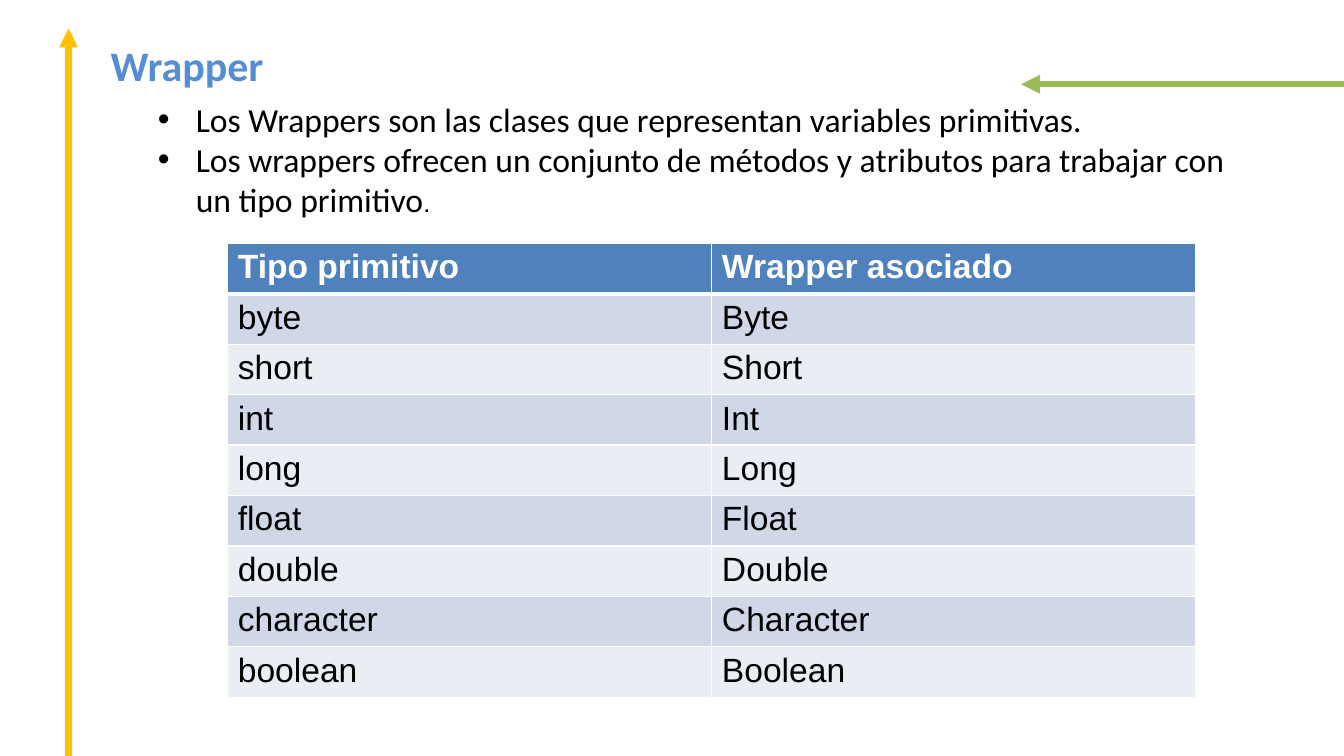
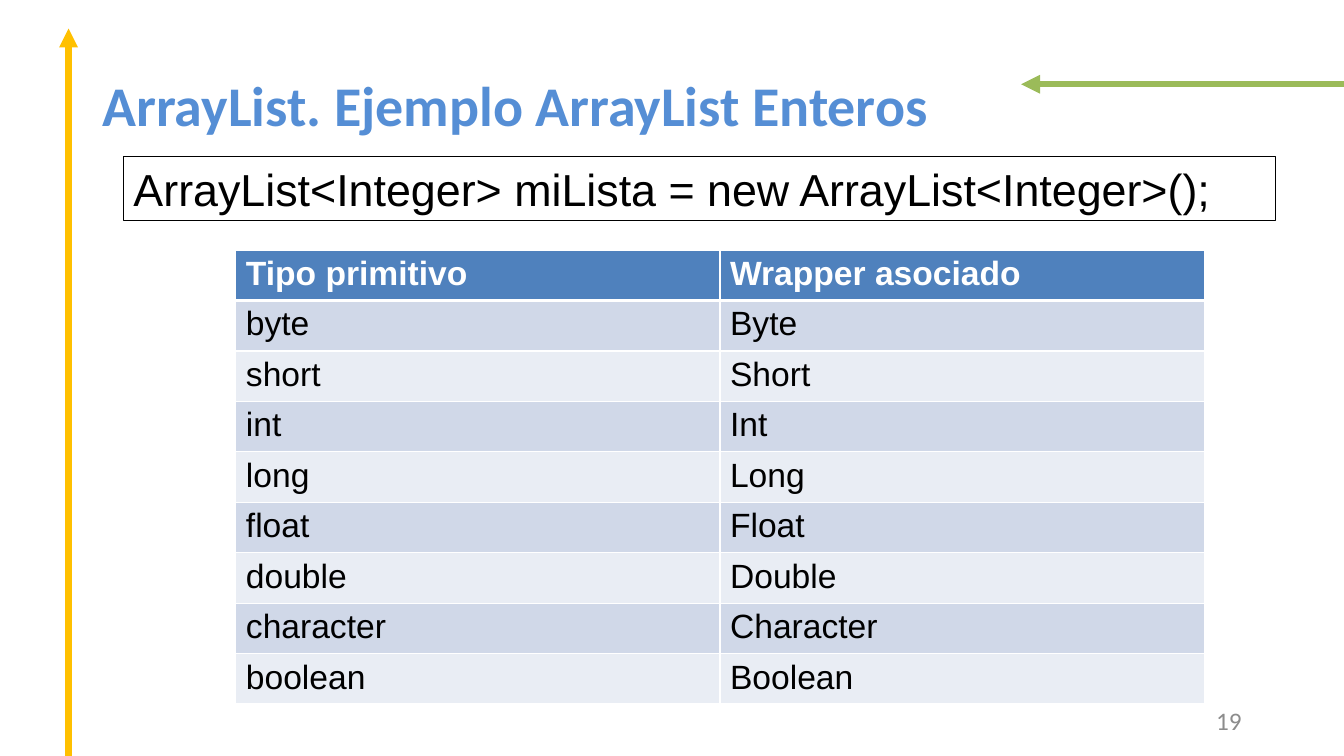
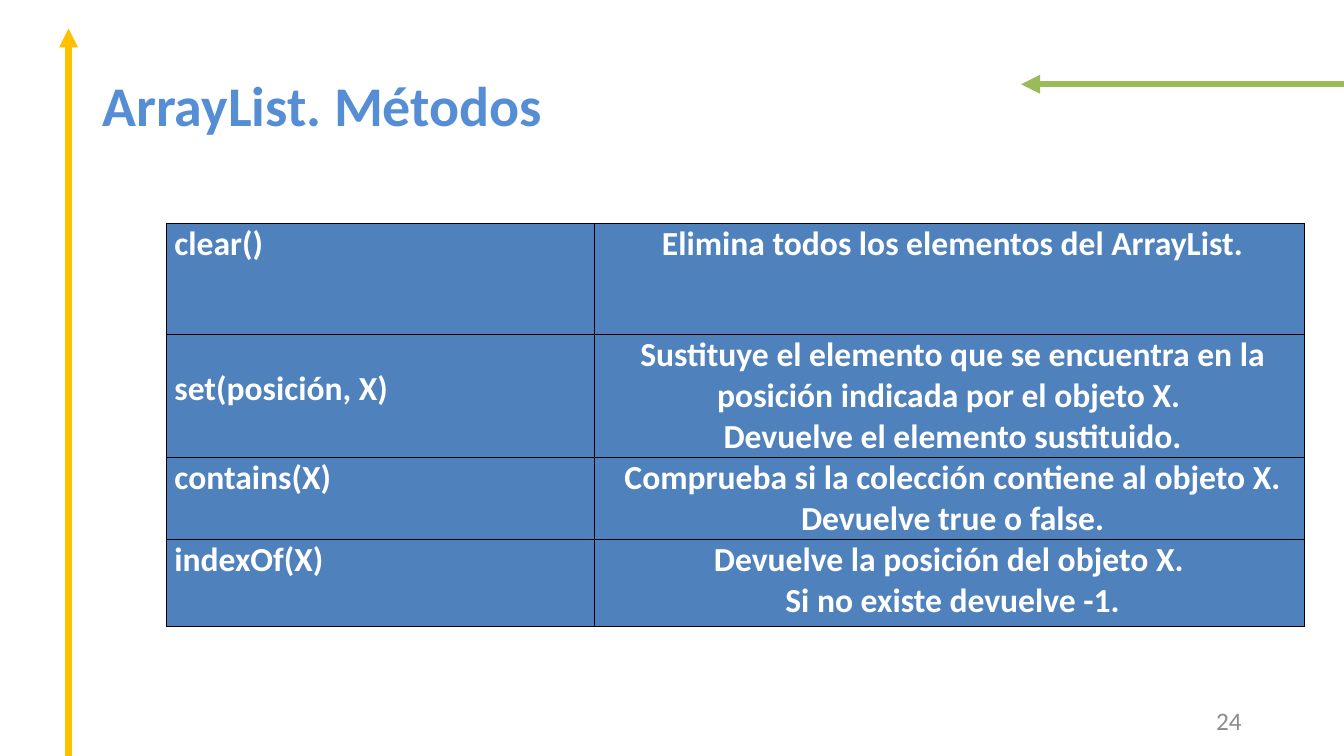
"""Build three slides on wrappers and ArrayList methods."""
import pptx
import pptx.dml.color
import pptx.enum.shapes
import pptx.enum.text
import pptx.oxml.ns
import pptx.util
from lxml import etree

Pt = pptx.util.Pt
ALIGN = pptx.enum.text.PP_ALIGN
ANCHOR = pptx.enum.text.MSO_ANCHOR
WIDE, HIGH = 960, 540
BLUE, TITLE, GREEN, GOLD = "4F81BD", "558ED5", "9BBB59", "FFC000"
BANDS = ("D0D8E8", "E9EDF4")
WHITE, BLACK, GRAY = "FFFFFF", "000000", "8C8C8C"
BODY, PLAIN = "Calibri", "Arial"

TYPES = ["byte", "short", "int", "long", "float", "double", "character", "boolean"]
PAIRS = [("Tipo primitivo", "Wrapper asociado")] + [(t, t.title()) for t in TYPES]
INTRO = (
    "Los Wrappers son las clases que representan variables primitivas.\n"
    "Los wrappers ofrecen un conjunto de métodos y atributos para trabajar con un tipo primitivo"
)
CALLS = [
    ("clear()", "Elimina todos los elementos del ArrayList.", 79.2, 0),
    ("set(posición, X)",
     "Sustituye el elemento que se encuentra en la posición indicada por el objeto X. \n"
     "Devuelve el elemento sustituido.", 88, 24.4),
    ("contains(X)",
     "Comprueba si la colección contiene al objeto X.\nDevuelve true o false.", 58.6, 0),
    ("indexOf(X)",
     "Devuelve la posición del objeto X. \nSi no existe devuelve -1.", 62, 0),
]


def color(code):
    return pptx.dml.color.RGBColor.from_string(code)


def node(parent, tag, **attrs):
    item = etree.SubElement(parent, pptx.oxml.ns.qn(tag))
    for name, value in attrs.items():
        item.set(name, str(value))
    return item


def write(para, text, face=BODY, size=24, ink=BLACK, bold=False):
    run = para.add_run()
    run.text = text
    run.font.name = face
    run.font.size = Pt(size)
    run.font.bold = bold
    run.font.color.rgb = color(ink)


def fill(frame, text, align=ALIGN.LEFT, bullet=False, **style):
    for i, line in enumerate(text.split("\n")):
        para = frame.add_paragraph() if i else frame.paragraphs[0]
        para.alignment = align
        if bullet:
            props = para._p.get_or_add_pPr()
            props.set("marL", str(Pt(27)))
            props.set("indent", str(Pt(-27)))
            node(props, "a:buFont", typeface=PLAIN)
            node(props, "a:buChar", char="•")
        write(para, line, **style)


def label(slide, text, left, top, width, height, anchor=ANCHOR.TOP, **style):
    box = slide.shapes.add_textbox(Pt(left), Pt(top), Pt(width), Pt(height))
    box.text_frame.word_wrap = True
    box.text_frame.vertical_anchor = anchor
    fill(box.text_frame, text, **style)
    return box


def arrow(slide, start, end, ink):
    kind = pptx.enum.shapes.MSO_CONNECTOR.STRAIGHT
    line = slide.shapes.add_connector(kind, *(Pt(n) for n in start + end))
    line.line.color.rgb = color(ink)
    line.line.width = Pt(4.5)
    node(line.line._get_or_add_ln(), "a:tailEnd", type="triangle")
    node(line._element.spPr, "a:effectLst")


def page(deck, title, left=66.2, top=43.2, size=40, number=None):
    slide = deck.slides.add_slide(deck.slide_layouts[6])
    arrow(slide, (WIDE, 60.2), (729.4, 60.2), GREEN)
    arrow(slide, (49, HIGH), (49, 20.4), GOLD)
    label(slide, title, left, top, 867.6, 62, ANCHOR.MIDDLE,
          size=size, ink=TITLE, bold=True)
    if number:
        label(slide, str(number), 678, 500.5, 216, 28.8, ANCHOR.MIDDLE,
              align=ALIGN.RIGHT, size=18, ink=GRAY)
    return slide


def grid(slide, left, top, cols, rows):
    shape = slide.shapes.add_table(len(rows), len(cols), Pt(left), Pt(top),
                                   Pt(sum(cols)), Pt(sum(rows)))
    table = shape.table
    table.first_row = table.horz_banding = False
    for col, width in zip(table.columns, cols):
        col.width = Pt(width)
    for row, height in zip(table.rows, rows):
        row.height = Pt(height)
    return table


def paint(cell, back, edge, top=1, base=1):
    props = cell._tc.get_or_add_tcPr()
    for side, width in zip("LRTB", (1, 1, top, base)):
        line = node(props, f"a:ln{side}", w=Pt(width))
        node(node(line, "a:solidFill"), "a:srgbClr", val=edge)
    cell.fill.solid()
    cell.fill.fore_color.rgb = color(back)


def pairs(slide, left, top):
    table = grid(slide, left, top, [345.8] * 2, [36] * len(PAIRS))
    for r, row in enumerate(PAIRS):
        head = r == 0
        for c, text in enumerate(row):
            cell = table.cell(r, c)
            paint(cell, BLUE if head else BANDS[(r - 1) % 2], WHITE,
                  top=3 if r == 1 else 1, base=3 if head else 1)
            fill(cell.text_frame, text, face=PLAIN, bold=head,
                 ink=WHITE if head else BLACK)


def calls(slide):
    table = grid(slide, 118.8, 159.5, [306, 507], [row[2] for row in CALLS])
    for r, (name, note, _, gap) in enumerate(CALLS):
        cells = ((name, 5.8, gap, ALIGN.LEFT), (note, 4.3, 0, ALIGN.CENTER))
        for c, (text, inset, above, align) in enumerate(cells):
            cell = table.cell(r, c)
            cell.margin_left, cell.margin_top = Pt(inset), Pt(above)
            cell.margin_right = cell.margin_bottom = 0
            paint(cell, BLUE, BLACK)
            fill(cell.text_frame, text, align=align, ink=WHITE, bold=True)


def main():
    deck = pptx.Presentation()
    deck.slide_width, deck.slide_height = Pt(WIDE), Pt(HIGH)

    slide = page(deck, "Wrapper", left=72, top=15.1, size=30)
    box = label(slide, INTRO, 105.8, 67, 799.2, 443.5, bullet=True)
    write(box.text_frame.paragraphs[-1], ".", face=PLAIN, size=18)
    pairs(slide, 162.7, 173.8)

    slide = page(deck, "ArrayList. Ejemplo ArrayList Enteros", number=19)
    box = label(slide, "ArrayList<Integer> miLista = new ArrayList<Integer>();",
                88.3, 111.6, 823, 46, face=PLAIN, size=32)
    box.line.color.rgb = color(BLACK)
    box.line.width = Pt(0.75)
    pairs(slide, 168.5, 178.6)

    slide = page(deck, "ArrayList. Métodos", number=24)
    calls(slide)

    deck.save("out.pptx")


if __name__ == "__main__":
    main()
